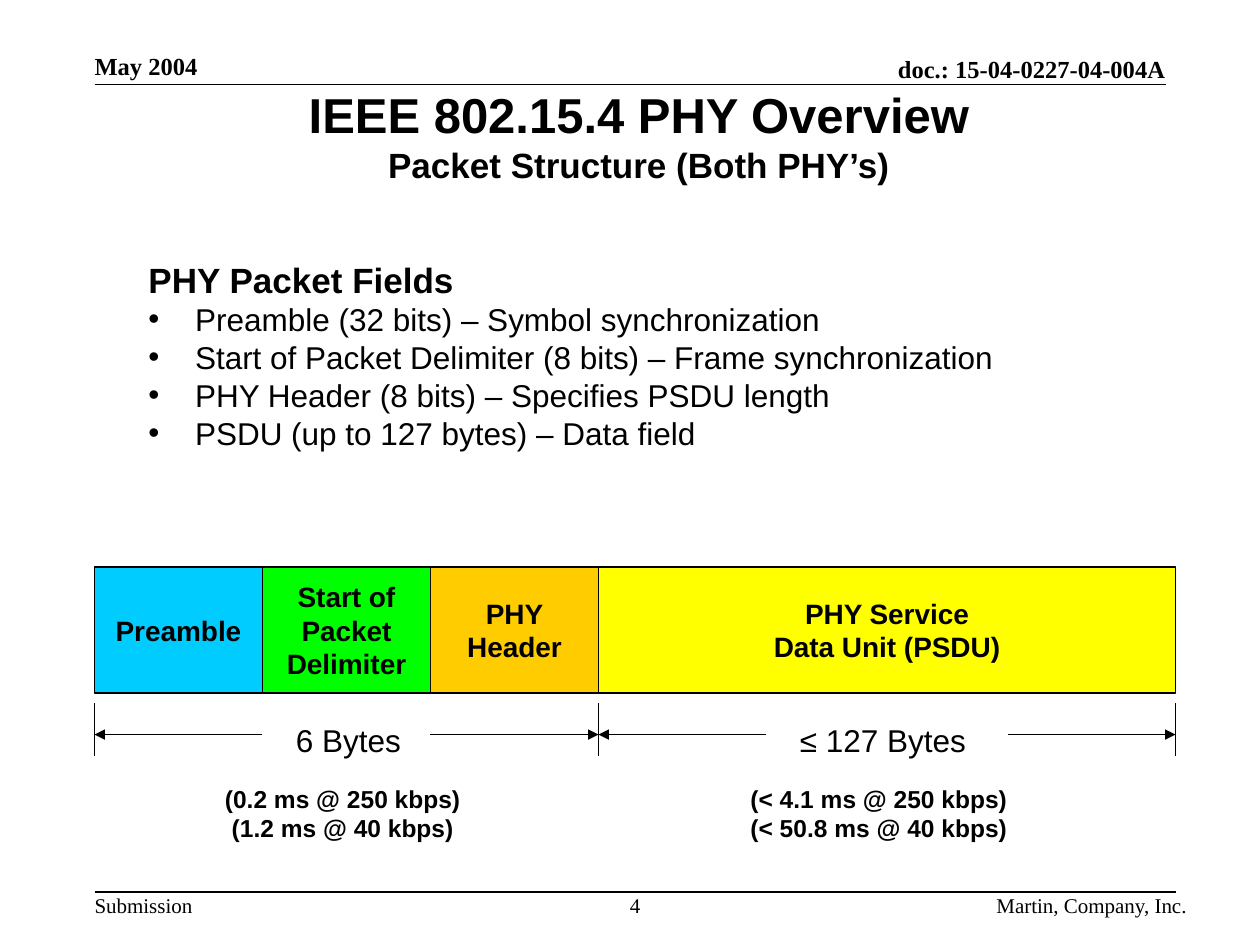
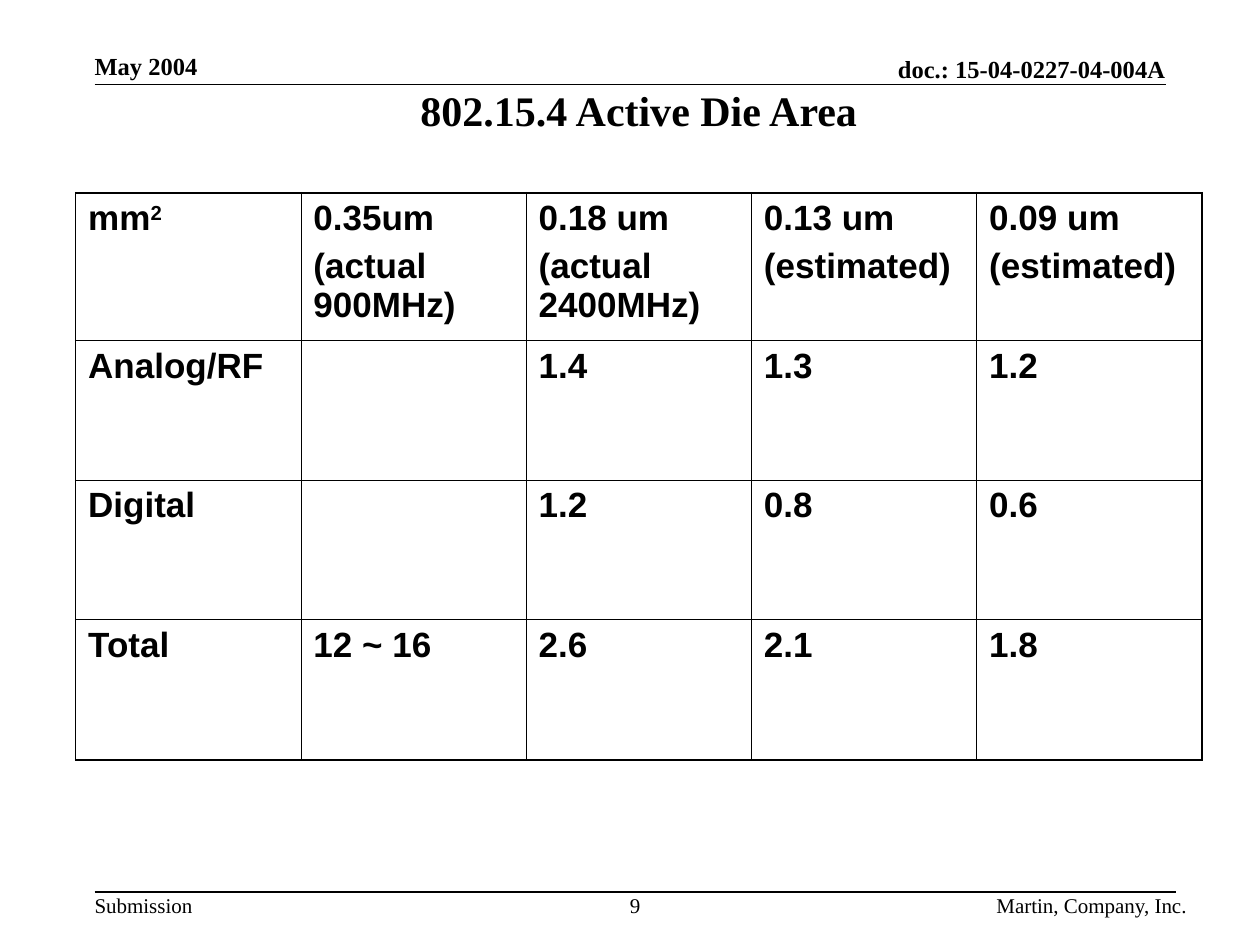
from typing import NamedTuple

from lxml import etree
from pptx import Presentation
from pptx.dml.color import RGBColor
from pptx.enum.shapes import MSO_CONNECTOR, MSO_SHAPE
from pptx.enum.text import MSO_ANCHOR, MSO_AUTO_SIZE, PP_ALIGN
from pptx.oxml.ns import qn
from pptx.util import Inches, Pt

LEFT, CENTER, RIGHT = PP_ALIGN.LEFT, PP_ALIGN.CENTER, PP_ALIGN.RIGHT
TOP, MIDDLE, BOTTOM = MSO_ANCHOR.TOP, MSO_ANCHOR.MIDDLE, MSO_ANCHOR.BOTTOM
NO_FIT = MSO_AUTO_SIZE.NONE
STRAIGHT, RECT = MSO_CONNECTOR.STRAIGHT, MSO_SHAPE.RECTANGLE

SANS, SERIF = "Arial", "Times New Roman"
BLACK, WHITE = "000000", "FFFFFF"
EDGE, END = 0.75, 9.33  # left and right limits of the content


class Style(NamedTuple):
    size: float
    font: str = SANS
    bold: bool = False
    align: PP_ALIGN = LEFT
    anchor: MSO_ANCHOR = TOP
    inset: tuple[float, float] = (0.1, 0.05)
    wrap: bool = True


class Label(NamedTuple):
    text: str
    left: float
    top: float
    width: float
    height: float
    style: Style


class Field(NamedTuple):
    text: str
    left: float
    width: float
    fill: str


class Span(NamedTuple):
    start: float
    stop: float
    gap_from: float
    gap_to: float


HEAD = Style(14, SERIF, True, anchor=BOTTOM, inset=(0, 0))
FOOT = Style(12, SERIF, inset=(0, 0))
NAME = Style(16, bold=True, align=CENTER, anchor=MIDDLE, wrap=False)
COUNT = Style(18, wrap=False)
TIME = Style(14, bold=True, align=CENTER, wrap=False)
CELL = Style(20, bold=True)

FRAME = [
    Label("May 2004", EDGE, 0.41, 1.75, 0.23, HEAD),
    Label("doc.: 15-04-0227-04-004A", 4.92, 0.43, 4.33, 0.23,
          HEAD._replace(align=RIGHT)),
    Label("Submission", EDGE, 7.08, 0.78, 0.2, FOOT),
    Label("Martin, Company, Inc.", 6, 7.08, 3.42, 0.2,
          FOOT._replace(align=RIGHT)),
]

# Packet layout: three equal short fields, then the payload
UNIT = 4 / 3
FIELDS = [
    Field("Preamble", EDGE, UNIT, "00CCFF"),
    Field("Start of\nPacket\nDelimiter", EDGE + UNIT, UNIT, "00FF00"),
    Field("PHY\nHeader", EDGE + 2 * UNIT, UNIT, "FFCC00"),
    Field("PHY Service\nData Unit (PSDU)", 4.75, END - 4.75, "FFFF00"),
]
SPANS = [
    Span(EDGE, 4.75, EDGE + UNIT, 4.75 - UNIT),
    Span(4.75, END, 4.75 + UNIT, END - UNIT),
]
NOTES = [
    Label("6 Bytes", 2.25, 5.67, 1.03, 0.4, COUNT),
    Label("≤ 127 Bytes", 6.25, 5.67, 1.52, 0.4, COUNT),
    Label("(0.2 ms @ 250 kbps)\n(1.2 ms @ 40 kbps)",
          1.66, 6.17, 2.12, 0.57, TIME),
    Label("(< 4.1 ms @ 250 kbps)\n(< 50.8 ms @ 40 kbps)",
          5.83, 6.17, 2.29, 0.57, TIME),
]
LIST = """PHY Packet Fields
Preamble (32 bits) – Symbol synchronization
Start of Packet Delimiter (8 bits) – Frame synchronization
PHY Header (8 bits) – Specifies PSDU length
PSDU (up to 127 bytes) – Data field"""

AREAS = [
    ["mm", "0.35um\n(actual 900MHz)", "0.18 um\n(actual 2400MHz)",
     "0.13 um\n(estimated)", "0.09 um\n(estimated)"],
    ["Analog/RF", "", "1.4", "1.3", "1.2"],
    ["Digital", "", "1.2", "0.8", "0.6"],
    ["Total", "12 ~ 16", "2.6", "2.1", "1.8"],
]


def color(code: str) -> RGBColor:
    return RGBColor.from_string(code)


def format_runs(para, style: Style) -> None:
    para.alignment = style.align
    for run in para.runs:
        run.font.size = Pt(style.size)
        run.font.name = style.font
        run.font.bold = style.bold
        run.font.color.rgb = color(BLACK)


def write(frame, text: str, style: Style) -> None:
    frame.text = text
    frame.auto_size = NO_FIT
    frame.word_wrap = style.wrap
    frame.vertical_anchor = style.anchor
    frame.margin_left = frame.margin_right = Inches(style.inset[0])
    frame.margin_top = frame.margin_bottom = Inches(style.inset[1])
    for para in frame.paragraphs:
        format_runs(para, style)


def add_label(slide, label: Label):
    box = slide.shapes.add_textbox(Inches(label.left), Inches(label.top),
                                   Inches(label.width), Inches(label.height))
    write(box.text_frame, label.text, label.style)
    return box.text_frame


def add_line(slide, start: tuple[float, float], stop: tuple[float, float],
             arrow: bool = False) -> None:
    line = slide.shapes.add_connector(
        STRAIGHT, *(Inches(value) for value in (*start, *stop)))
    line.line.color.rgb = color(BLACK)
    line.line.width = Pt(1)
    if arrow:
        etree.SubElement(line.line._get_or_add_ln(), qn("a:tailEnd"),
                         type="triangle")
    etree.SubElement(line._element.spPr, qn("a:effectLst"))


def add_slide(deck, title: str, height: float, style: Style, number: int):
    """Start a slide with its title, header and footer."""
    slide = deck.slides.add_slide(deck.slide_layouts[5])
    head = slide.shapes.title
    head.left, head.top = Inches(1.41), Inches(0.62)
    head.width, head.height = Inches(7.32), Inches(height)
    write(head.text_frame, title, style)
    for label in FRAME:
        add_label(slide, label)
    add_label(slide, Label(str(number), 4.75, 7.08, 0.58, 0.2,
                           FOOT._replace(align=CENTER)))
    add_line(slide, (EDGE, 0.67), (9.25, 0.67))
    add_line(slide, (EDGE, 7.08), (END, 7.08))
    return slide


def add_field(slide, field: Field) -> None:
    box = slide.shapes.add_shape(RECT, Inches(field.left), Inches(4.5),
                                 Inches(field.width), Inches(1))
    box.shadow.inherit = False
    box.fill.solid()
    box.fill.fore_color.rgb = color(field.fill)
    box.line.color.rgb = color(BLACK)
    box.line.width = Pt(1)
    write(box.text_frame, field.text, NAME)


def add_list(slide) -> None:
    frame = add_label(slide, Label(LIST, 1.08, 2, 7.83, 1.64, Style(18)))
    first, *items = frame.paragraphs
    format_runs(first, Style(20, bold=True))
    for para in items:
        props = para._p.get_or_add_pPr()
        props.set("marL", str(Inches(0.37)))
        props.set("indent", str(-Inches(0.37)))
        etree.SubElement(props, qn("a:buFont"), typeface=SANS)
        etree.SubElement(props, qn("a:buChar"), char="•")


def add_border(cell, side: str, width: float) -> None:
    line = etree.SubElement(cell._tc.get_or_add_tcPr(), qn(f"a:ln{side}"),
                            w=str(Pt(width)))
    fill = etree.SubElement(line, qn("a:solidFill"))
    etree.SubElement(fill, qn("a:srgbClr"), val=BLACK)


def add_grid(slide) -> None:
    rows, cols = len(AREAS), len(AREAS[0])
    grid = slide.shapes.add_table(rows, cols, Inches(0.6), Inches(1.53),
                                  Inches(8.94), Inches(4.5)).table
    grid.first_row = grid.horz_banding = False
    for col in grid.columns:
        col.width = Inches(8.94 / cols)
    for y, texts in enumerate(AREAS):
        grid.rows[y].height = Inches(1.11 if y else 1.17)
        for x, text in enumerate(texts):
            cell = grid.cell(y, x)
            outer = {"L": x == 0, "R": x == cols - 1,
                     "T": y == 0, "B": y == rows - 1}
            for side, edge in outer.items():
                add_border(cell, side, 1.08 if edge else 0.45)
            cell.fill.solid()
            cell.fill.fore_color.rgb = color(WHITE)
            cell.text_frame.text = text
            for i, para in enumerate(cell.text_frame.paragraphs):
                format_runs(para, CELL)
                if i:
                    para.space_before = Pt(5)
    # Square sign of the unit
    unit = grid.cell(0, 0).text_frame.paragraphs[0]
    power = unit.add_run()
    power.text = "2"
    format_runs(unit, CELL)
    power._r.get_or_add_rPr().set("baseline", "30000")


def build_packet(deck) -> None:
    style = Style(28, bold=True, align=CENTER)
    slide = add_slide(
        deck, "IEEE 802.15.4 PHY Overview\nPacket Structure (Both PHY’s)",
        0.9, style, 4)
    format_runs(slide.shapes.title.text_frame.paragraphs[1],
                style._replace(size=20))
    add_list(slide)
    for field in FIELDS:
        add_field(slide, field)
    # Size marks below the packet
    for x in (EDGE, 4.75, END):
        add_line(slide, (x, 5.58), (x, 6))
    for span in SPANS:
        add_line(slide, (span.gap_from, 5.83), (span.start, 5.83), True)
        add_line(slide, (span.gap_to, 5.83), (span.stop, 5.83), True)
    for note in NOTES:
        add_label(slide, note)


def build_area(deck) -> None:
    slide = add_slide(deck, "802.15.4 Active Die Area", 0.5,
                      Style(24, SERIF, True, CENTER), 9)
    add_grid(slide)


def main() -> None:
    deck = Presentation()
    deck.slide_width, deck.slide_height = Inches(10), Inches(7.5)
    build_packet(deck)
    build_area(deck)
    deck.save("out.pptx")


if __name__ == "__main__":
    main()
